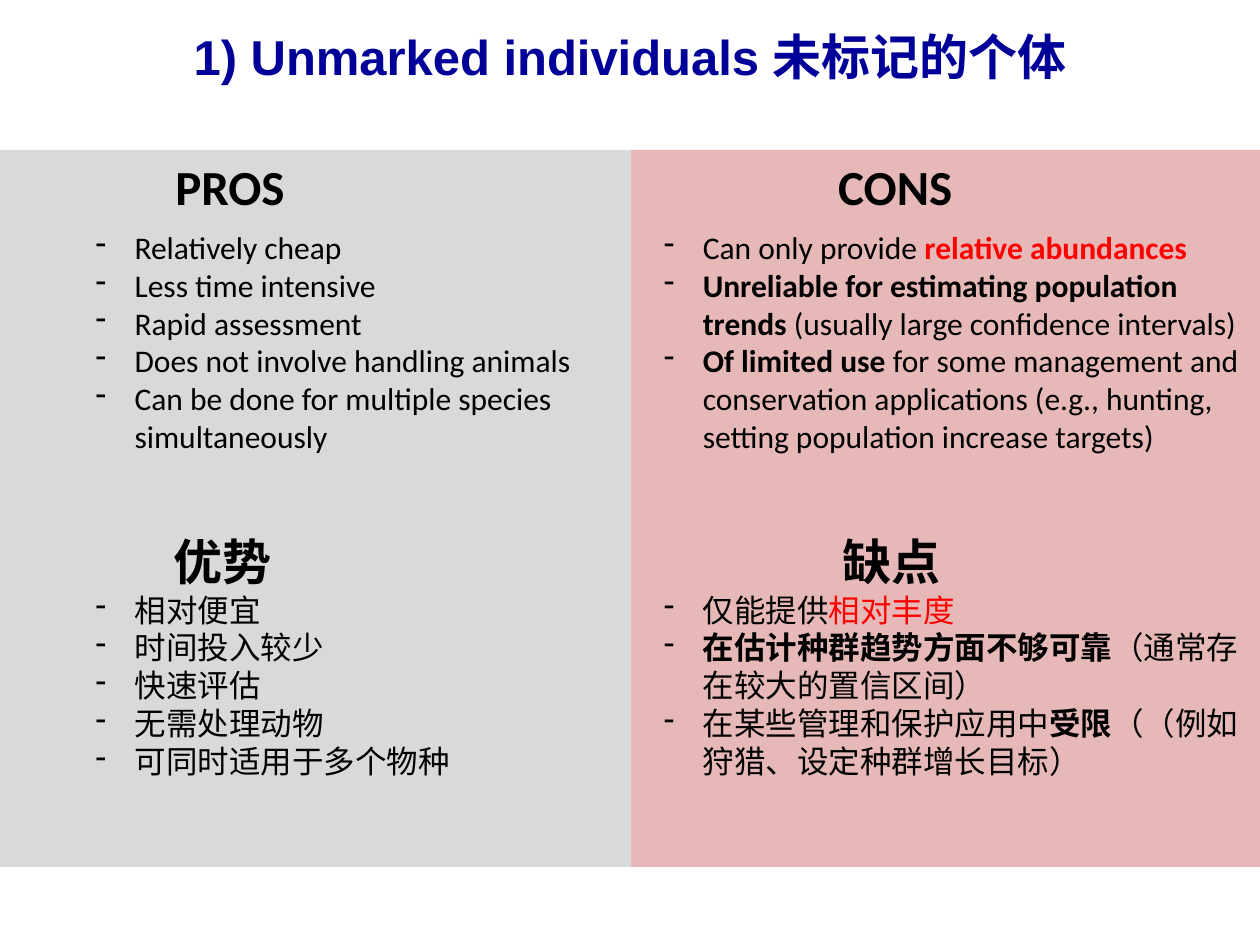
from lxml import etree
from pptx import Presentation
from pptx.dml.color import RGBColor
from pptx.enum.shapes import MSO_SHAPE
from pptx.enum.text import MSO_AUTO_SIZE, PP_ALIGN
from pptx.oxml.ns import qn
from pptx.util import Inches, Pt

RECTANGLE = MSO_SHAPE.RECTANGLE
CENTER = PP_ALIGN.CENTER
FIT_SHAPE = MSO_AUTO_SIZE.SHAPE_TO_FIT_TEXT
BLACK, RED, NAVY = "000000", "FF0000", "000099"
HANGING = Inches(0.31)
PANEL_TOP, PANEL_HEIGHT = 1.19, 5.69


def style(run, size, color=BLACK, bold=False, font="Calibri"):
    run.font.size = Pt(size)
    run.font.color.rgb = RGBColor.from_string(color)
    run.font.bold = bold
    run.font.name = font


def add_frame(left, top, width, height):
    frame = slide.shapes.add_textbox(
        Inches(left), Inches(top), Inches(width), Inches(height)).text_frame
    frame.word_wrap = True
    frame.auto_size = FIT_SHAPE
    return frame


prs = Presentation()
prs.slide_width, prs.slide_height = Inches(10), Inches(7.5)
slide = prs.slides.add_slide(prs.slide_layouts[6])

for left, width, color in [(0, 10, "D9D9D9"), (5.01, 4.99, "E6B9B8")]:
    panel = slide.shapes.add_shape(
        RECTANGLE, Inches(left), Inches(PANEL_TOP), Inches(width), Inches(PANEL_HEIGHT))
    panel.shadow.inherit = False
    panel.fill.solid()
    panel.fill.fore_color.rgb = RGBColor.from_string(color)
    panel.line.fill.background()

headings = [
    ("1) Unmarked individuals 未标记的个体", 0, 0.16, 10, NAVY, "Arial"),
    ("PROS", 0.97, PANEL_TOP, 1.71, BLACK, "Calibri"),
    ("CONS", 6.25, PANEL_TOP, 1.71, BLACK, "Calibri"),
]
for text, left, top, width, color, font in headings:
    heading = add_frame(left, top, width, 0.57).paragraphs[0]
    heading.text = text
    heading.alignment = CENTER
    style(heading.runs[0], 28, color, True, font)

pros_english = [
    [("Relatively cheap", BLACK, False)],
    [("Less time intensive", BLACK, False)],
    [("Rapid assessment", BLACK, False)],
    [("Does not involve handling animals", BLACK, False)],
    [("Can be done for multiple species simultaneously", BLACK, False)],
]
pros_chinese = [
    [("相对便宜", BLACK, False)],
    [("时间投入较少", BLACK, False)],
    [("快速评估", BLACK, False)],
    [("无需处理动物", BLACK, False)],
    [("可同时适用于多个物种", BLACK, False)],
]
cons_english = [
    [("Can only provide ", BLACK, False), ("relative abundances", RED, True)],
    [("Unreliable for estimating population trends ", BLACK, True),
     ("(usually large confidence intervals)", BLACK, False)],
    [("Of limited use ", BLACK, True),
     ("for some management and conservation applications "
      "(e.g., hunting, setting population increase targets)", BLACK, False)],
]
cons_chinese = [
    [("仅能提供", BLACK, False), ("相对丰度", RED, False)],
    [("在估计种群趋势方面不够可靠", BLACK, True), ("（通常存在较大的置信区间）", BLACK, False)],
    [("在某些管理和保护应用中", BLACK, False), ("受限", BLACK, True),
     ("（（例如狩猎、设定种群增长目标）", BLACK, False)],
]
columns = [
    (0.66, 4.35, pros_english, "优势", 0.62, pros_chinese),
    (5.17, 4.83, cons_english, "缺点", 1.42, cons_chinese),
]
for left, width, english, chinese_heading, heading_indent, chinese in columns:
    column = add_frame(left, 1.76, width, 4.51)
    for index, point in enumerate(english + [chinese_heading] + chinese):
        paragraph = column.add_paragraph() if index else column.paragraphs[0]
        properties = paragraph._p.get_or_add_pPr()
        if point == chinese_heading:
            paragraph.text = point
            paragraph.space_before = Pt(44)
            properties.set("marL", str(Inches(heading_indent)))
            properties.set("indent", "0")
            style(paragraph.runs[0], 28, bold=True)
            continue
        properties.set("marL", str(HANGING))
        properties.set("indent", str(-HANGING))
        etree.SubElement(properties, qn("a:buChar")).set("char", "-")
        for text, color, bold in point:
            run = paragraph.add_run()
            run.text = text
            style(run, 18, color, bold)

prs.save("out.pptx")
